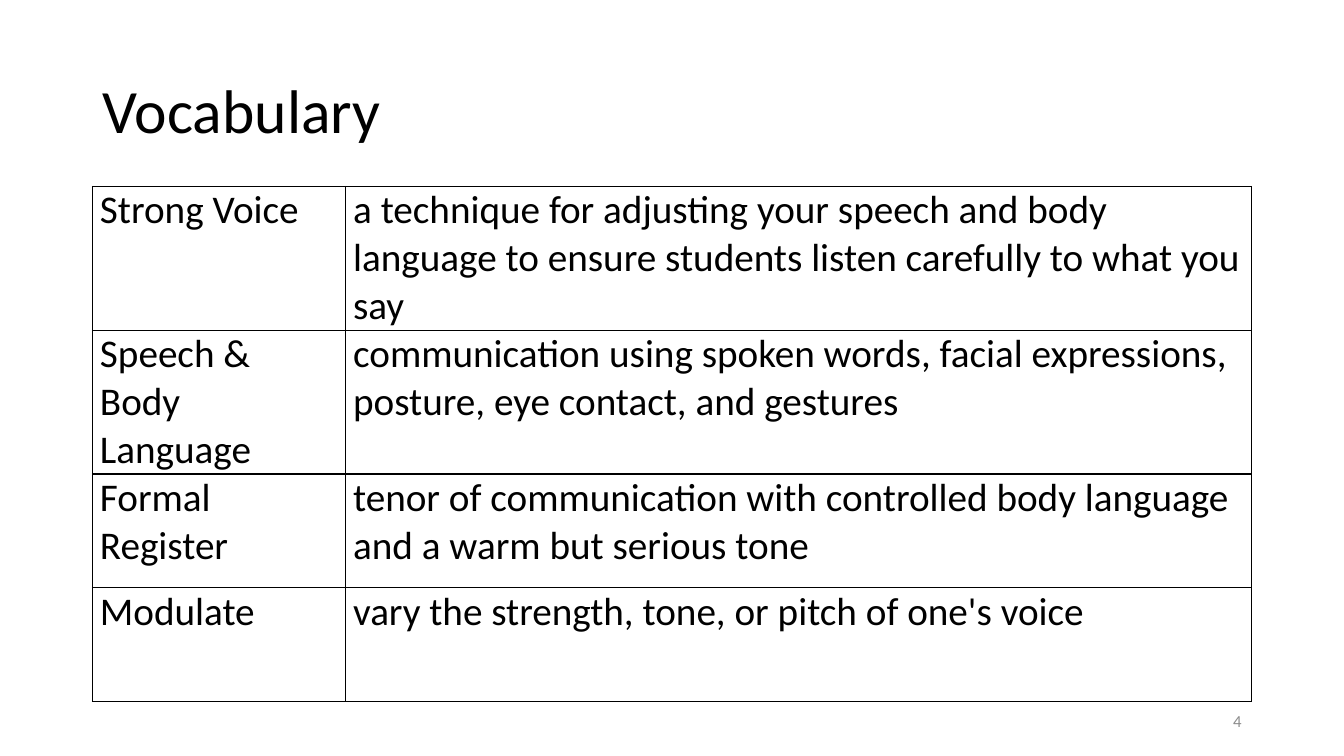
from lxml import etree
from pptx import Presentation
from pptx.dml.color import RGBColor
from pptx.enum.text import MSO_ANCHOR, PP_ALIGN
from pptx.oxml.ns import qn
from pptx.util import Cm, Pt

LEFT, RIGHT = PP_ALIGN.LEFT, PP_ALIGN.RIGHT
TOP, MIDDLE = MSO_ANCHOR.TOP, MSO_ANCHOR.MIDDLE
FONT = "Calibri"
COLORS = {"text": "000000", "border": "000000", "number": "8C8C8C"}
TERMS = [
    ("Strong Voice",
     "a technique for adjusting your speech and body language to ensure "
     "students listen carefully to what you say"),
    ("Speech & Body Language",
     "communication using spoken words, facial expressions, posture, "
     "eye contact, and gestures"),
    ("Formal Register",
     "tenor of communication with controlled body language and a warm "
     "but serious tone"),
    ("Modulate", "vary the strength, tone, or pitch of one's voice"),
]


def write(frame, text, size, color, align=LEFT):
    frame.text = text
    paragraph = frame.paragraphs[0]
    paragraph.alignment = align
    font = paragraph.runs[0].font
    font.name = FONT
    font.size = Pt(size)
    font.color.rgb = RGBColor.from_string(COLORS[color])
    return paragraph


def add_borders(cell):
    properties = cell._tc.get_or_add_tcPr()
    for side in ("lnL", "lnR", "lnT", "lnB"):
        line = etree.SubElement(properties, qn(f"a:{side}"), w=str(Pt(1)))
        fill = etree.SubElement(line, qn("a:solidFill"))
        etree.SubElement(fill, qn("a:srgbClr"), val=COLORS["border"])


prs = Presentation()
prs.slide_width, prs.slide_height = Cm(33.87), Cm(19.05)
slide = prs.slides.add_slide(prs.slide_layouts[5])

heading = slide.shapes.title
heading.left, heading.top = Cm(2.33), Cm(1.01)
heading.width, heading.height = Cm(29.21), Cm(3.68)
heading.text_frame.vertical_anchor = MIDDLE
write(heading.text_frame, "Vocabulary", 44, "text").line_spacing = 0.9

vocabulary = slide.shapes.add_table(
    len(TERMS), 2, Cm(2.33), Cm(4.7), Cm(29.21), Cm(11.48)).table
vocabulary.first_row = False
vocabulary.horz_banding = False
for column, width in zip(vocabulary.columns, (6.38, 22.83)):
    column.width = Cm(width)
for row, entry in zip(vocabulary.rows, TERMS):
    row.height = Cm(2.87)
    for cell, text in zip(row.cells, entry):
        cell.margin_left = cell.margin_right = Cm(0.19)
        cell.margin_top = cell.margin_bottom = Cm(0)
        cell.vertical_anchor = TOP
        add_borders(cell)
        cell.fill.background()
        write(cell.text_frame, text, 28, "text")

page_number = slide.shapes.add_textbox(Cm(23.92), Cm(17.66), Cm(7.62), Cm(1.01))
page_number.text_frame.word_wrap = True
page_number.text_frame.vertical_anchor = MIDDLE
write(page_number.text_frame, "4", 12, "number", RIGHT)

prs.save("out.pptx")
